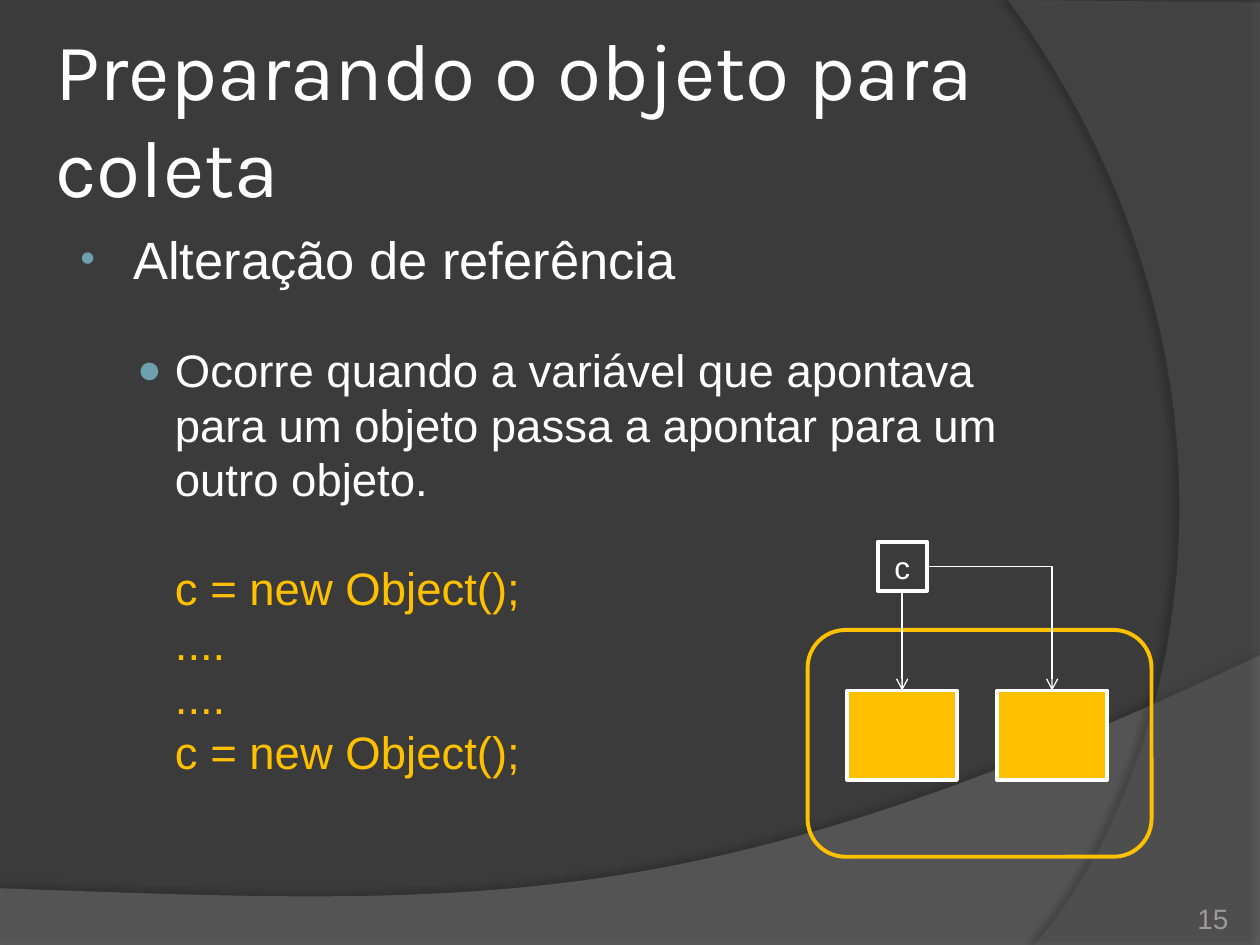
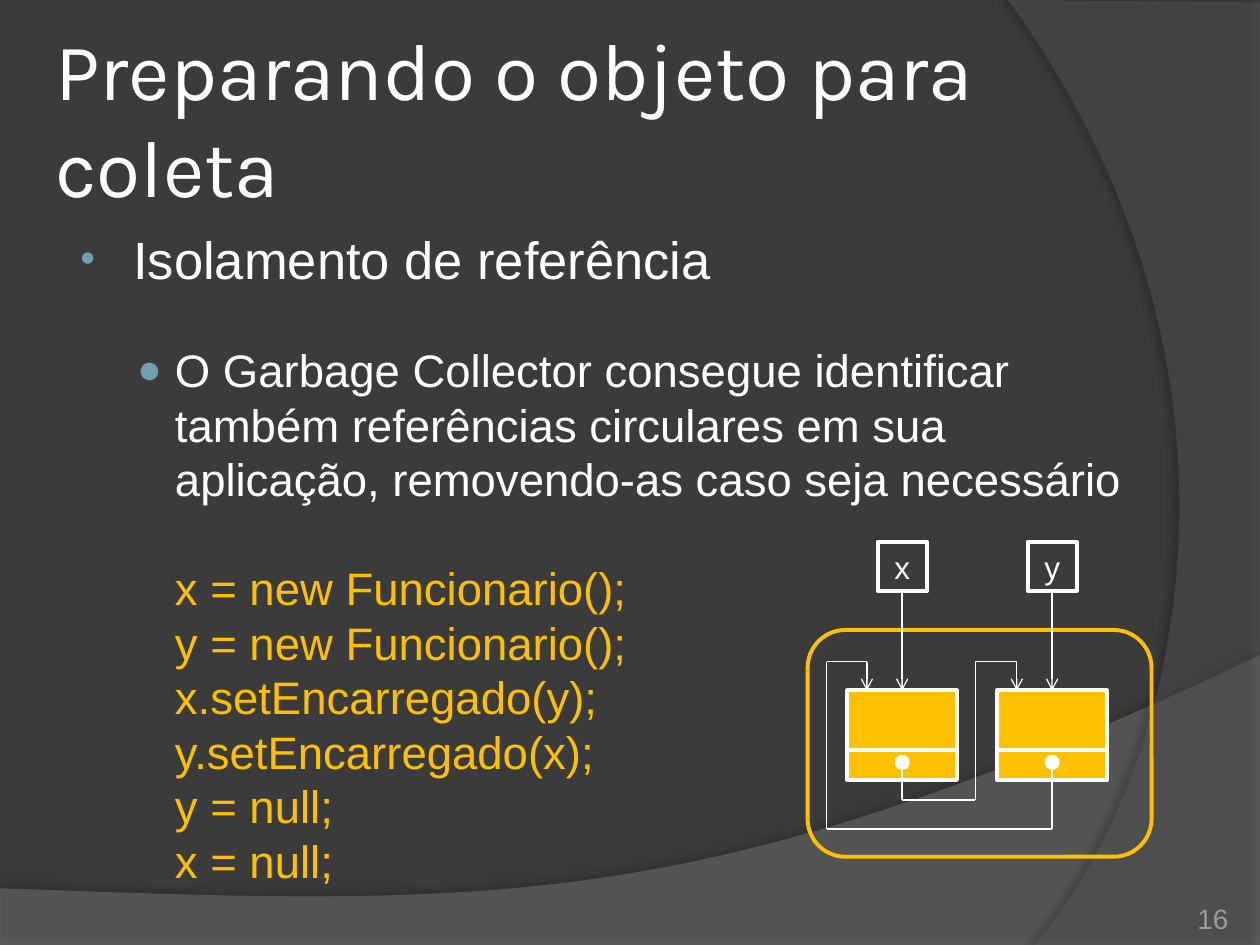
from lxml.etree import SubElement
from pptx import Presentation
from pptx.dml.color import RGBColor
from pptx.enum.shapes import MSO_CONNECTOR, MSO_SHAPE
from pptx.enum.text import MSO_ANCHOR, PP_ALIGN
from pptx.oxml.ns import qn
from pptx.util import Inches, Pt

WHITE, GOLD, BULLET, GREY = "FFFFFF", "FFC000", "6EA0B0", "9D9B9A"
BACKGROUND = "3B3B3B"
TITLE = "Preparando o objeto para coleta"
VARIABLE_TOP, VARIABLE_SIZE = 4.3, 0.39
VARIABLE_MIDDLE = VARIABLE_TOP + VARIABLE_SIZE / 2
VARIABLE_BOTTOM = VARIABLE_TOP + VARIABLE_SIZE
OBJECT_TOP, OBJECT_WIDTH, OBJECT_HEIGHT = 5.48, 0.87, 0.71
FIELD_HEIGHT = 0.24
FIRST, SECOND = 7.16, 8.35


def color(value):
    return RGBColor.from_string(value)


def child(parent, tag, **attributes):
    return SubElement(parent, qn(tag), attributes)


def add_wave(page, corners, controls, fill, opacity, shade, distance, direction):
    emu = [(Inches(x), Inches(y)) for x, y in corners]
    builder = page.shapes.build_freeform(*emu[0])
    builder.add_line_segments(emu[1:])
    wave = builder.convert_to_shape()
    wave.fill.solid()
    wave.fill.fore_color.rgb = color(fill)
    wave.line.fill.background()
    properties = wave._element.spPr
    curve = list(properties.iter(qn("a:lnTo")))[len(corners) - 2]
    curve.tag = qn("a:cubicBezTo")
    for position, (x, y) in enumerate(controls):
        point = child(curve, "a:pt", x=str(Inches(x) - wave.left), y=str(Inches(y) - wave.top))
        curve.insert(position, point)
    fill_color = properties.find(qn("a:solidFill"))[0]
    child(fill_color, "a:alpha", val=str(opacity * 1000))
    effects = child(properties, "a:effectLst")
    shadow = child(effects, "a:outerShdw", blurRad=str(Pt(4)), dist=str(Pt(distance)),
                   dir=str(direction * 60000), algn="ctr", rotWithShape="0")
    shadow_color = child(shadow, "a:srgbClr", val="000000")
    child(shadow_color, "a:alpha", val=str(shade * 1000))


def add_text(page, left, top, width, height, anchor, inset):
    frame = page.shapes.add_textbox(*map(Inches, (left, top, width, height))).text_frame
    frame.word_wrap = True
    frame.vertical_anchor = anchor
    frame.margin_left = frame.margin_right = Inches(inset)
    frame.margin_top = frame.margin_bottom = Inches(min(inset, 0.05))
    return frame


def style(para, size, ink, name="Arial"):
    para.font.size = Pt(size)
    para.font.name = name
    para.font.color.rgb = color(ink)


def indent(para, margin, first=0.0, bullet=None, bullet_size=100):
    properties = para._p.get_or_add_pPr()
    properties.set("marL", str(Inches(margin)))
    properties.set("indent", str(Inches(first)))
    if bullet:
        bullet_color = child(properties, "a:buClr")
        child(bullet_color, "a:srgbClr", val=BULLET)
        child(properties, "a:buSzPct", val=str(bullet_size * 1000))
        child(properties, "a:buFont", typeface="Arial")
        child(properties, "a:buChar", char=bullet)
    else:
        child(properties, "a:buNone")


def add_body(page, width, topic, explanation, code):
    frame = add_text(page, 0.5, 1.75, width, 4.95, MSO_ANCHOR.TOP, 0.1)
    para = frame.paragraphs[0]
    para.text = topic
    indent(para, 0.46, -0.42, "•", 80)
    style(para, 30, WHITE)
    for number, text in enumerate([explanation, *code]):
        para = frame.add_paragraph()
        para.text = text
        para.space_before = Pt((30, 31)[number] if number < 2 else 0)
        if number == 0:
            indent(para, 0.79, -0.3, "●", 90)
        else:
            indent(para, 0.79)
        style(para, 26, GOLD if number else WHITE)


def add_box(page, left, top, width, height, fill=None, outline=WHITE, kind=MSO_SHAPE.RECTANGLE):
    box = page.shapes.add_shape(kind, *map(Inches, (left, top, width, height)))
    box.shadow.inherit = False
    if fill:
        box.fill.solid()
        box.fill.fore_color.rgb = color(fill)
    else:
        box.fill.background()
    if outline:
        box.line.color.rgb = color(outline)
        box.line.width = Pt(2.25)
    else:
        box.line.fill.background()
    return box


def add_line(page, start, end, arrow=False, bent=False):
    kind = MSO_CONNECTOR.ELBOW if bent else MSO_CONNECTOR.STRAIGHT
    line = page.shapes.add_connector(kind, *map(Inches, (*start, *end)))
    line.line.color.rgb = color(WHITE)
    line.line.width = Pt(0.75)
    properties = line._element.spPr
    if bent:
        properties.find(qn("a:prstGeom")).set("prst", "bentConnector2")
    if arrow:
        child(properties.find(qn("a:ln")), "a:tailEnd", type="arrow")
    child(properties, "a:effectLst")


def add_variable(page, name, center):
    box = add_box(page, center - VARIABLE_SIZE / 2, VARIABLE_TOP, VARIABLE_SIZE, VARIABLE_SIZE)
    frame = box.text_frame
    frame.vertical_anchor = MSO_ANCHOR.MIDDLE
    para = frame.paragraphs[0]
    para.text = name
    para.alignment = PP_ALIGN.CENTER
    style(para, 18, WHITE)
    add_line(page, (center, VARIABLE_BOTTOM), (center, OBJECT_TOP), arrow=True)


def add_heap(page):
    add_box(page, 6.41, 5, 2.73, 1.8, outline=GOLD, kind=MSO_SHAPE.ROUNDED_RECTANGLE)


def add_object(page, center, has_field=False):
    left = center - OBJECT_WIDTH / 2
    field = FIELD_HEIGHT if has_field else 0
    height = OBJECT_HEIGHT - field
    add_box(page, left, OBJECT_TOP, OBJECT_WIDTH, height, GOLD)
    if has_field:
        add_box(page, left, OBJECT_TOP + height, OBJECT_WIDTH, field, GOLD)


def add_reference(page, source, target, lane, bottom):
    field_y, top, entry = 6.05, 5.25, target - 0.28
    route = [(source, field_y), (source, bottom), (lane, bottom),
             (lane, top), (entry, top), (entry, OBJECT_TOP)]
    for start, end in zip(route, route[1:]):
        add_line(page, start, end, arrow=end == route[-1])
    add_box(page, source - 0.06, field_y - 0.06, 0.12, 0.12, WHITE, None, MSO_SHAPE.OVAL)


def add_page(deck, number):
    page = deck.slides.add_slide(deck.slide_layouts[6])
    page.background.fill.solid()
    page.background.fill.fore_color.rgb = color(BACKGROUND)
    add_wave(page, [(0, 7.5), (10, 7.5), (10, 5.2), (0, 7.05)],
             [(5.59, 7.29), (3.91, 7.19)], "7F7F7F", 45, 35, 3.5, 270)
    add_wave(page, [(10, 0.02), (10, 7.5), (8.21, 7.5), (8, 0)],
             [(9.35, 6.19), (10.18, 3)], "5E5E5E", 40, 45, 4, 180)
    para = add_text(page, 0.39, 0.3, 9.27, 1.25, MSO_ANCHOR.MIDDLE, 0.05).paragraphs[0]
    para.text = TITLE
    style(para, 46, WHITE, "Karla")
    para = add_text(page, 8.92, 7.02, 0.83, 0.4, MSO_ANCHOR.BOTTOM, 0).paragraphs[0]
    para.text = str(number)
    para.alignment = PP_ALIGN.RIGHT
    style(para, 16, GREY)
    return page


def add_changed_reference(deck):
    page = add_page(deck, 15)
    add_body(page, 8.1, "Alteração de referência",
             "Ocorre quando a variável que apontava para um objeto passa a apontar "
             "para um outro objeto.",
             ["c = new Object();", "....", "....", "c = new Object();"])
    add_heap(page)
    for center in (FIRST, SECOND):
        add_object(page, center)
    add_variable(page, "c", FIRST)
    add_line(page, (FIRST + VARIABLE_SIZE / 2, VARIABLE_MIDDLE), (SECOND, OBJECT_TOP),
             arrow=True, bent=True)


def add_isolated_reference(deck):
    page = add_page(deck, 16)
    add_body(page, 8.75, "Isolamento de referência",
             "O Garbage Collector consegue identificar também referências circulares "
             "em sua aplicação, removendo-as caso seja necessário",
             ["x = new Funcionario();", "y = new Funcionario();", "x.setEncarregado(y);",
              "y.setEncarregado(x);", "y = null;", "x = null;"])
    add_heap(page)
    for name, center in (("x", FIRST), ("y", SECOND)):
        add_object(page, center, has_field=True)
        add_variable(page, name, center)
    add_reference(page, FIRST, SECOND, lane=7.74, bottom=6.35)
    add_reference(page, SECOND, FIRST, lane=6.56, bottom=6.58)


def main():
    deck = Presentation()
    deck.slide_width, deck.slide_height = Inches(10), Inches(7.5)
    add_changed_reference(deck)
    add_isolated_reference(deck)
    deck.save("out.pptx")


if __name__ == "__main__":
    main()
